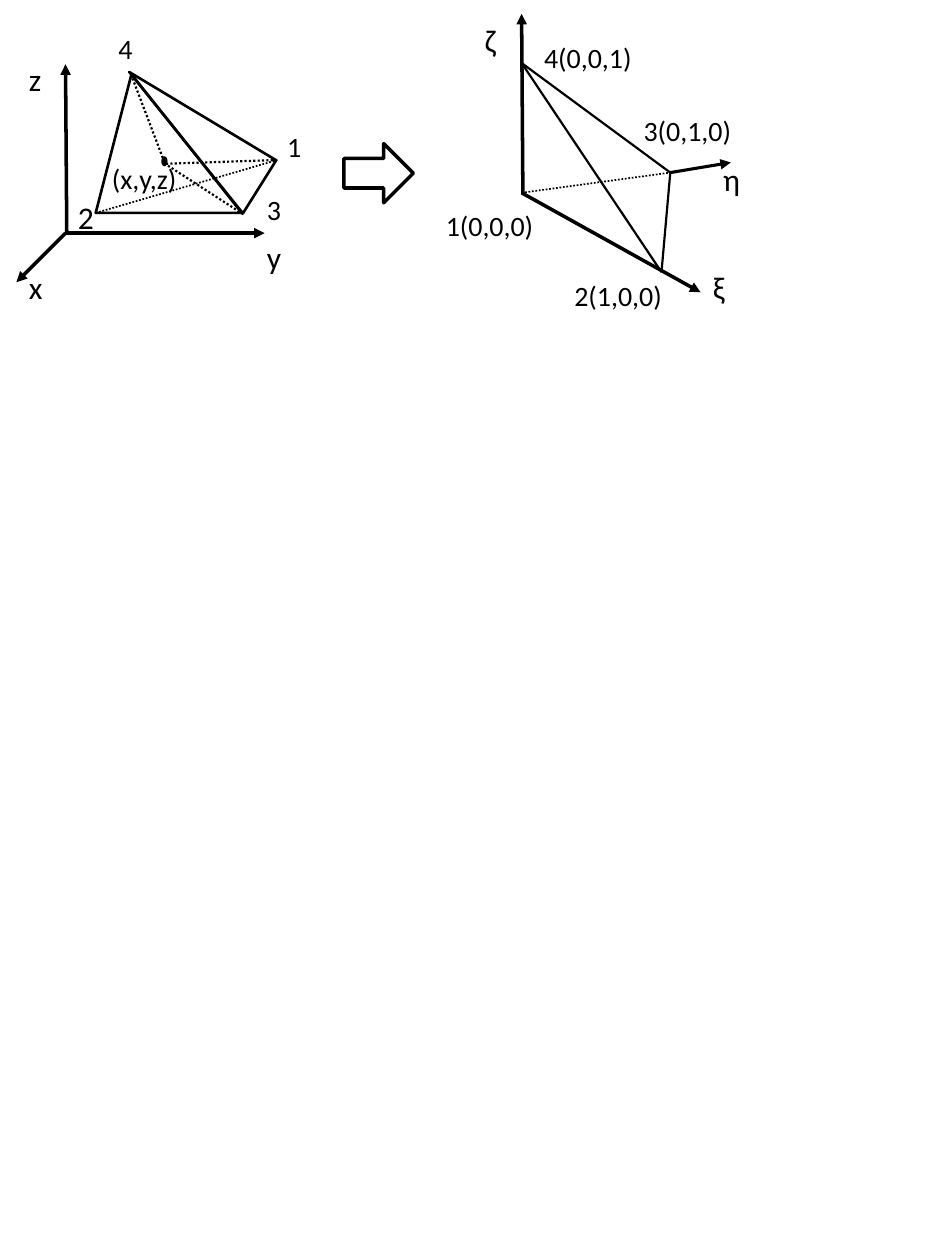
"""Draw a tetrahedron mapped from x, y, z axes to natural coordinates."""
from lxml.etree import SubElement
from pptx import Presentation
from pptx.dml.color import RGBColor
from pptx.enum.dml import MSO_LINE
from pptx.enum.shapes import MSO_CONNECTOR, MSO_SHAPE
from pptx.enum.text import MSO_AUTO_SIZE, PP_ALIGN
from pptx.oxml.ns import qn
from pptx.util import Inches, Pt

HUES = {"ink": "000000"}
INK = RGBColor.from_string(HUES["ink"])
FONT = "Calibri"

deck = Presentation()
deck.slide_width, deck.slide_height = Inches(7.5), Inches(10)
COL, ROW = deck.slide_width / 75, deck.slide_height / 100
slide = deck.slides.add_slide(deck.slide_layouts[6])


def grid(x, y):
    return int(x * COL), int(y * ROW)


def join(start, end, width, dash=None, arrow=False):
    line = slide.shapes.add_connector(
        MSO_CONNECTOR.STRAIGHT, *grid(*start), *grid(*end))
    line.line.width = Pt(width)
    line.line.color.rgb = INK
    if dash:
        line.line.dash_style = dash
    if arrow:
        SubElement(line.line._ln, qn("a:tailEnd"), type="triangle")
    SubElement(line._element.spPr, qn("a:effectLst"))


axes = [
    ((5.2, 18.5), (21, 18.5), 2),
    ((5.3, 18.6), (5.2, 5.1), 2),
    ((5.2, 18.5), (1.3, 22.4), 2),
    ((53.2, 13.7), (58, 12.9), 1.75),
    ((41.5, 15.4), (41.4, 1.1), 2),
    ((41.4, 15.3), (55.6, 23.2), 2),
]
for start, end, width in axes:
    join(start, end, width, arrow=True)

node1, node2, node3, node4 = (22, 12.7), (7.6, 16.9), (19.3, 17), (10.4, 5.9)
inner = (13.1, 13)
join(node2, node1, 1, MSO_LINE.ROUND_DOT)
for node in (node4, node1, node3):
    join(node, inner, 1.25, MSO_LINE.ROUND_DOT)

base, xi, eta, zeta = (41.4, 15.3), (52.5, 21.6), (53.2, 13.7), (41.4, 5)
for start, end in ((zeta, xi), (zeta, eta), (eta, xi)):
    join(start, end, 1.25)
join(base, eta, 1, MSO_LINE.ROUND_DOT)

forms = [
    (MSO_SHAPE.ISOSCELES_TRIANGLE, 7.6, 5.9, 11.6, 11, 0, [0.245], 1.5),
    (MSO_SHAPE.ISOSCELES_TRIANGLE, 9.4, 7.5, 14.4, 4.7, 51.2, [0.887], 1.5),
    (MSO_SHAPE.RIGHT_ARROW, 27.3, 11.4, 5.5, 4.7, 0, [0.5, 0.5], 2),
    (MSO_SHAPE.OVAL, 12.8, 12.4, 0.5, 0.8, 0, [], 0),
]
for kind, x, y, wide, high, turn, bends, width in forms:
    form = slide.shapes.add_shape(kind, *grid(x, y), *grid(wide, high))
    form.shadow.inherit = False
    form.rotation = turn
    for spot, bend in enumerate(bends):
        form.adjustments[spot] = bend
    if width:
        form.fill.background()
        form.line.color.rgb = INK
        form.line.width = Pt(width)
    else:
        form.fill.solid()
        form.fill.fore_color.rgb = INK
        form.line.fill.background()

labels = [
    ("x", 1.3, 20.8, 3.2, 18),
    ("y", 20.2, 18.4, 3.2, 18),
    ("z", 1.3, 4.3, 3.2, 18),
    ("1", 21.8, 9.8, 3.1, 16),
    ("2", 5.2, 15.2, 3.2, 18),
    ("3", 20.2, 14.8, 3.2, 16),
    ("4", 8.4, 2, 3.1, 16),
    ("(x,y,z)", 7.9, 12.3, 8.6, 16),
    ("1(0,0,0)", 34.4, 16.1, 9.4, 16),
    ("ξ", 55.6, 20.8, 3.2, 18),
    ("η", 56.4, 12.2, 3.1, 18),
    ("ζ", 37.5, 1.2, 3.1, 18),
    ("2(1,0,0)", 44.6, 21.6, 9.5, 16),
    ("3(0,1,0)", 50.1, 8.5, 9.4, 16),
    ("4(0,0,1)", 42.2, 2.7, 9.4, 16),
]
for text, x, y, wide, size in labels:
    high = 4 if size == 18 else 3.7
    frame = slide.shapes.add_textbox(*grid(x, y), *grid(wide, high)).text_frame
    frame.word_wrap = False
    frame.auto_size = MSO_AUTO_SIZE.SHAPE_TO_FIT_TEXT
    frame.text = text
    line = frame.paragraphs[0]
    line.alignment = PP_ALIGN.LEFT
    font = line.runs[0].font
    font.name, font.size = FONT, Pt(size)
    font.color.rgb = INK

deck.save("out.pptx")
